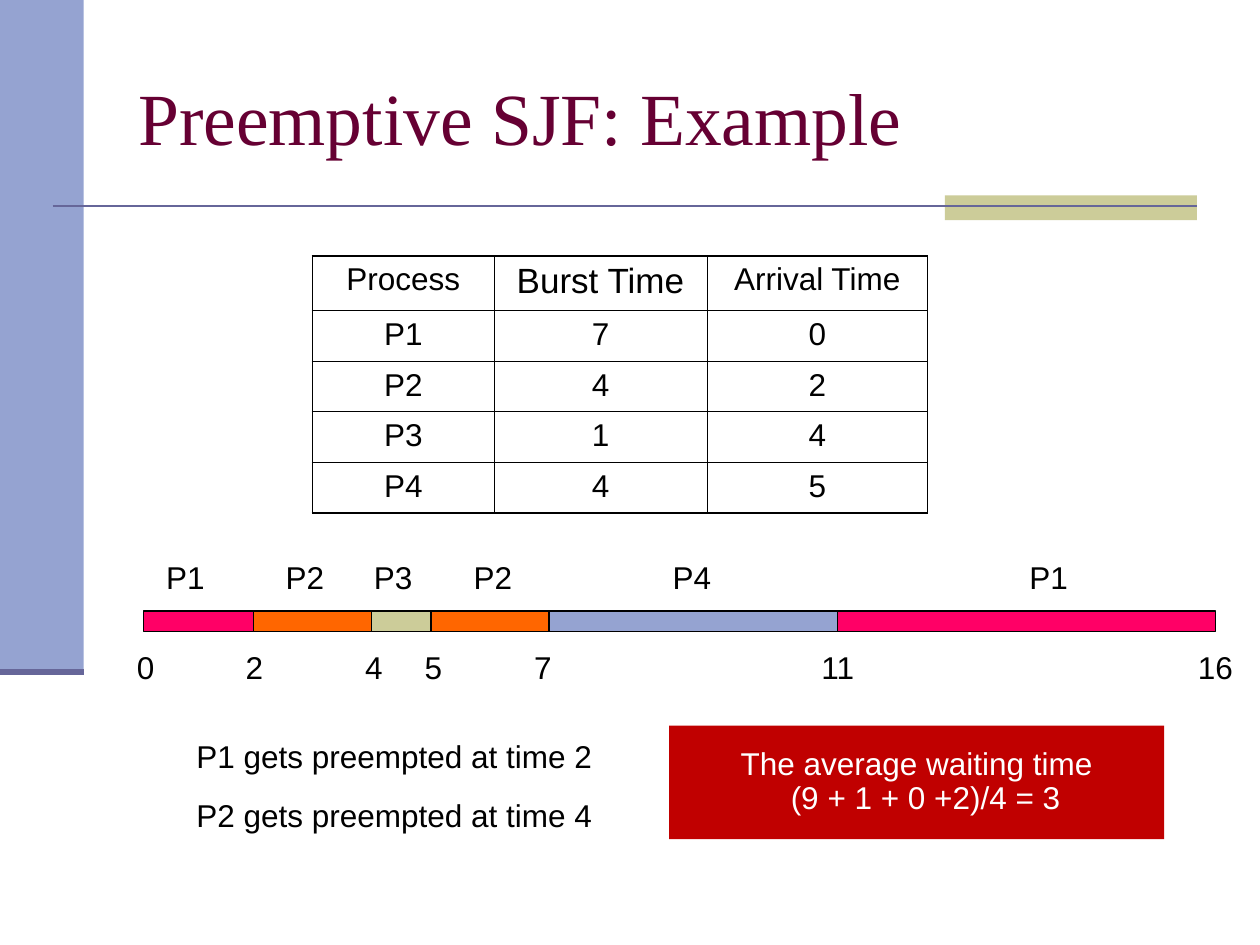
from lxml.etree import SubElement
from pptx import Presentation
from pptx.dml.color import RGBColor
from pptx.enum.shapes import MSO_CONNECTOR, MSO_SHAPE
from pptx.enum.text import MSO_ANCHOR, PP_ALIGN
from pptx.oxml import parse_xml
from pptx.oxml.ns import nsdecls, qn
from pptx.util import Cm, Pt

BLACK = RGBColor(0x00, 0x00, 0x00)
WHITE = RGBColor(0xFF, 0xFF, 0xFF)
PLUM = RGBColor(0x66, 0x00, 0x33)
BLUE = RGBColor(0x95, 0xA3, 0xD1)
INDIGO = RGBColor(0x66, 0x66, 0x99)
KHAKI = RGBColor(0xCC, 0xCC, 0x99)
PINK = RGBColor(0xFF, 0x00, 0x66)
ORANGE = RGBColor(0xFF, 0x66, 0x00)
RED = RGBColor(0xC0, 0x00, 0x00)

PROCESSES = [
    ("Process", "Burst Time", "Arrival Time"),
    ("P1", "7", "0"),
    ("P2", "4", "2"),
    ("P3", "1", "4"),
    ("P4", "4", "5"),
]
SCHEDULE = [
    ("P1", PINK, 2.9, 5.11, 3.1),
    ("P2", ORANGE, 5.11, 7.49, 5.51),
    ("P3", KHAKI, 7.49, 8.69, 7.29),
    ("P2", ORANGE, 8.69, 11.07, 9.3),
    ("P4", BLUE, 11.07, 16.89, 13.31),
    ("P1", PINK, 16.89, 24.51, 20.5),
]
TIMES = [("0", 2.51), ("2", 4.7), ("4", 7.11), ("5", 8.31),
         ("7", 10.52), ("11", 16.31), ("16", 23.9)]
NOTES = ["P1 gets preempted at time 2", "P2 gets preempted at time 4"]


class SlideBuilder:
    """Hold the text style and the current slide, and draw each kind of element."""

    def __init__(self, slide, font="Arial", size=18, color=BLACK):
        self.slide = slide
        self.font = font
        self.size = size
        self.color = color

    def format(self, text_frame, font=None, size=None, color=None, align=None):
        for paragraph in text_frame.paragraphs:
            paragraph.alignment = align
            for run in paragraph.runs:
                run.font.name = font or self.font
                run.font.size = Pt(size or self.size)
                run.font.color.rgb = self.color if color is None else color

    def rectangle(self, left, top, width, height, fill, outline=None):
        shape = self.slide.shapes.add_shape(
            MSO_SHAPE.RECTANGLE, Cm(left), Cm(top), Cm(width), Cm(height))
        shape.shadow.inherit = False
        shape.fill.solid()
        shape.fill.fore_color.rgb = fill
        if outline is None:
            shape.line.fill.background()
        else:
            shape.line.color.rgb = outline
            shape.line.width = Pt(0.75)
        return shape

    def rule(self, left, right, top, width):
        connector = self.slide.shapes.add_connector(
            MSO_CONNECTOR.STRAIGHT, Cm(left), Cm(top), Cm(right), Cm(top))
        connector.line.color.rgb = INDIGO
        connector.line.width = Pt(width)
        SubElement(connector._element.spPr, qn("a:effectLst"))

    def text(self, text, left, top, width, height=1.02, anchor=MSO_ANCHOR.TOP, **style):
        box = self.slide.shapes.add_textbox(Cm(left), Cm(top), Cm(width), Cm(height))
        text_frame = box.text_frame
        text_frame.word_wrap = True
        text_frame.margin_right = 0
        text_frame.vertical_anchor = anchor
        text_frame.text = text
        self.format(text_frame, **style)

    def callout(self, lines, left, top, width, height):
        text_frame = self.rectangle(left, top, width, height, RED).text_frame
        text_frame.word_wrap = True
        text_frame.vertical_anchor = MSO_ANCHOR.MIDDLE
        text_frame.text = "\n".join(lines)
        self.format(text_frame, color=WHITE, align=PP_ALIGN.CENTER)
        for paragraph in text_frame.paragraphs:
            paragraph.line_spacing = 0.9
        text_frame.paragraphs[-1]._p.get_or_add_pPr().set("marL", str(Cm(0.36)))

    def borders(self, cell, outer_sides):
        properties = cell._tc.get_or_add_tcPr()
        for index, side in enumerate("LRTB"):
            width = Pt(1.08 if side in outer_sides else 0.45)
            properties.insert(index, parse_xml(
                f'<a:ln{side} {nsdecls("a")} w="{width}"><a:solidFill>'
                f'<a:srgbClr val="{BLACK}"/></a:solidFill></a:ln{side}>'))

    def table(self, rows, left, top, widths, heights):
        table = self.slide.shapes.add_table(
            len(rows), len(widths), Cm(left), Cm(top),
            Cm(sum(widths)), Cm(sum(heights))).table
        table.first_row = table.horz_banding = False
        for column, width in zip(table.columns, widths):
            column.width = Cm(width)
        for row_index, (values, height) in enumerate(zip(rows, heights)):
            table.rows[row_index].height = Cm(height)
            for column_index, value in enumerate(values):
                cell = table.cell(row_index, column_index)
                cell.fill.background()
                cell.text_frame.text = value
                size = 20 if value == "Burst Time" else self.size
                self.format(cell.text_frame, size=size, align=PP_ALIGN.CENTER)
                edges = {"L": column_index == 0, "R": column_index == len(widths) - 1,
                         "T": row_index == 0, "B": row_index == len(rows) - 1}
                self.borders(cell, [side for side, outer in edges.items() if outer])


def main():
    presentation = Presentation()
    presentation.slide_width = Cm(25.4)
    presentation.slide_height = Cm(19.05)
    builder = SlideBuilder(presentation.slides.add_slide(presentation.slide_layouts[6]))

    builder.rectangle(0, 0, 1.69, 13.55, BLUE)
    builder.rectangle(19.05, 3.94, 5.08, 0.5, KHAKI)
    builder.rule(1.06, 24.13, 4.15, 1.5)
    builder.rule(0, 1.69, 13.55, 3.5)
    builder.text("Preemptive SJF: Example", 2.54, 0.76, 21.59, 3.18,
                 MSO_ANCHOR.MIDDLE, font="Times New Roman", size=42, color=PLUM)

    builder.table(PROCESSES, 6.3, 5.16, [3.66, 4.29, 4.45], [1.1] + [1.02] * 4)

    for process, color, start, end, label_left in SCHEDULE:
        builder.rectangle(start, 12.32, end - start, 0.41, color, BLACK)
        builder.text(process, label_left, 11.13, 1.27)
    for time, left in TIMES:
        builder.text(time, left, 12.93, 0.6 + 0.3 * len(time))

    builder.callout(["The average waiting time", "(9 + 1 + 0 +2)/4 = 3"],
                    13.49, 14.63, 9.98, 2.29)
    for index, note in enumerate(NOTES):
        builder.text(note, 3.71, 14.73 + 1.2 * index, 8.48)

    presentation.save("out.pptx")


if __name__ == "__main__":
    main()
